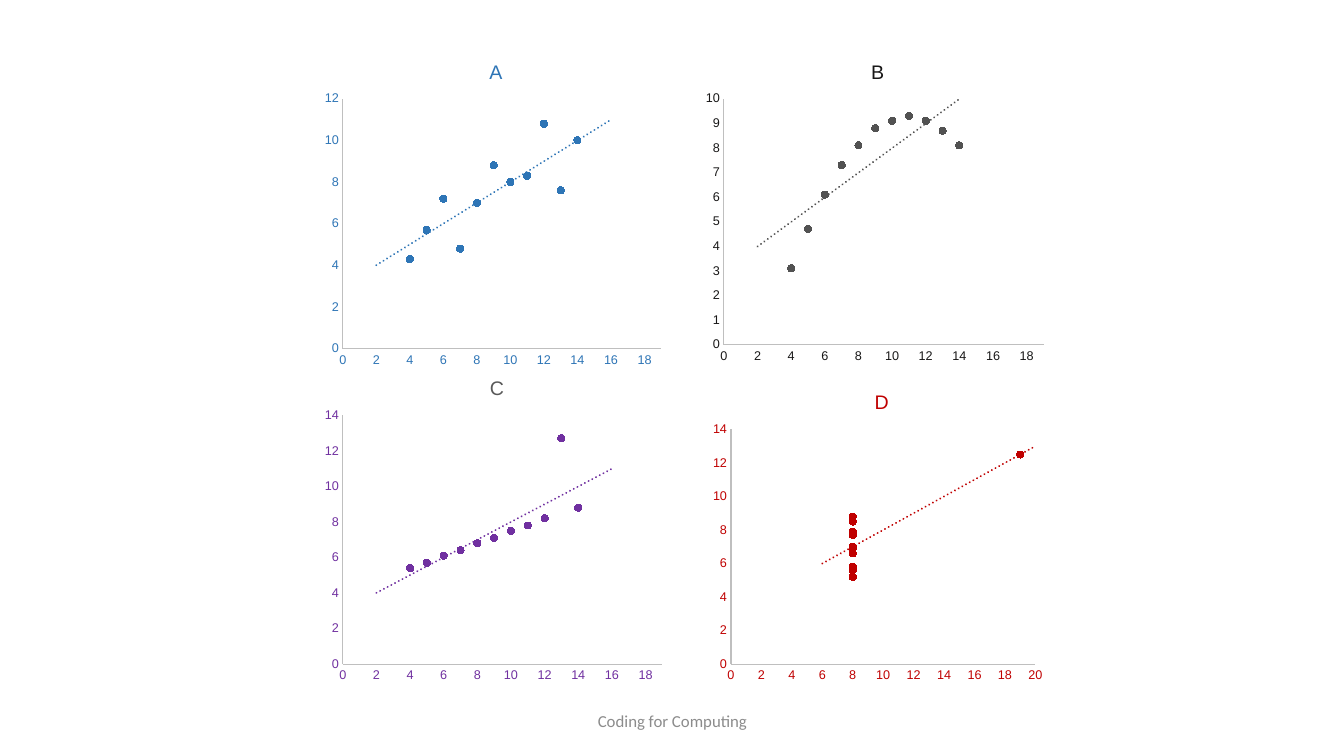
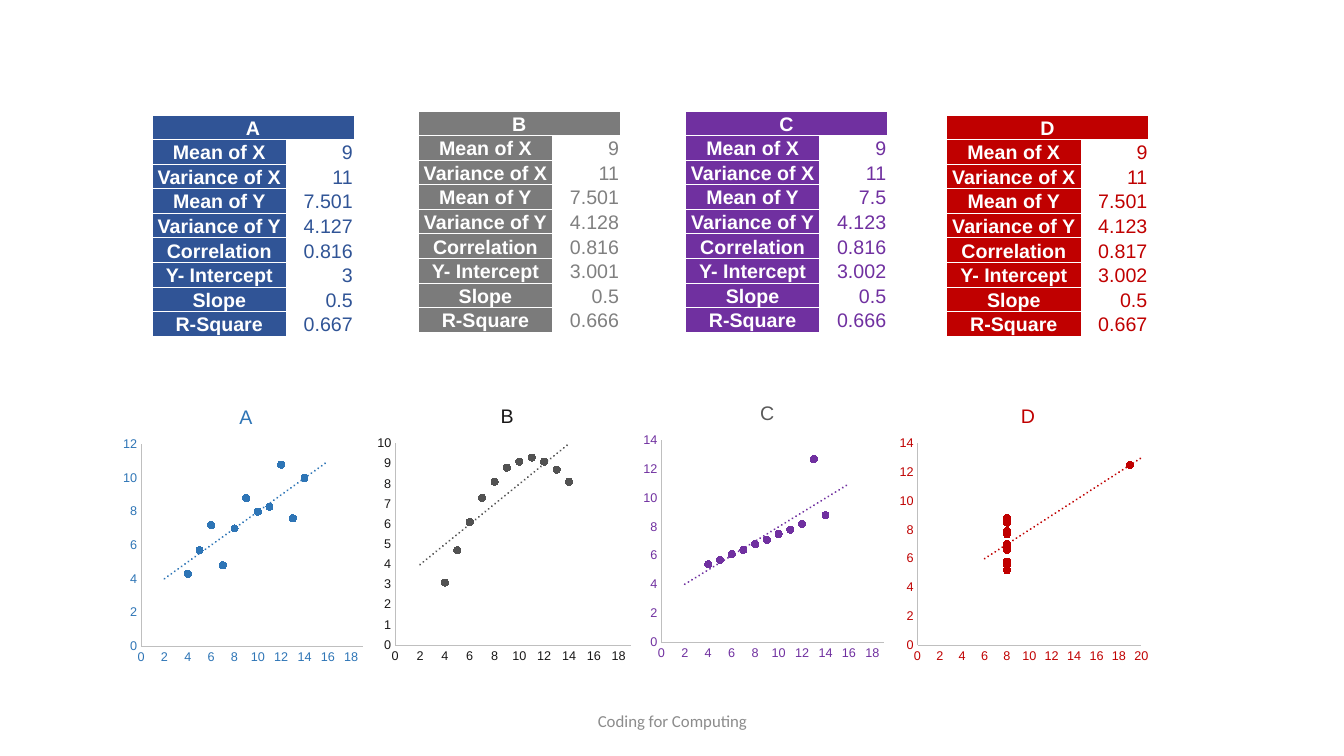
from lxml import etree
from pptx import Presentation, util as u
from pptx.chart.data import XyChartData
from pptx.dml.color import RGBColor
from pptx.enum import chart as ch, text as tx
from pptx.oxml import parse_xml
from pptx.oxml.ns import nsdecls, qn

INK = {"line": "BFBFBF", "foot": "8C8C8C", "white": "FFFFFF"}
FACE = "Arial"
XS = [10, 8, 13, 9, 11, 14, 6, 4, 12, 7, 5]
LABELS = ["Mean of X", "Variance of X", "Mean of Y", "Variance of Y",
          "Correlation", "Y- Intercept", "Slope", "R-Square"]

# The four data sets: dots, axis and title colours, table fill and text
SETS = {
    "A": dict(x=XS, y=[8, 7, 7.6, 8.8, 8.3, 10, 7.2, 4.3, 10.8, 4.8, 5.7],
              dot="2E75B6", axis="2E75B6", title="2E75B6", xmax=19, ymax=12,
              step=2, right=0.06, fill="305496", value="305496",
              stats="9 11 7.501 4.127 0.816 3 0.5 0.667"),
    "B": dict(x=XS, y=[9.1, 8.1, 8.7, 8.8, 9.3, 8.1, 6.1, 3.1, 9.1, 7.3, 4.7],
              dot="525252", axis="181717", title="181717", xmax=19, ymax=10,
              step=1, right=0.06, fill="7B7B7B", value="808080",
              stats="9 11 7.501 4.128 0.816 3.001 0.5 0.666"),
    "C": dict(x=XS, y=[7.5, 6.8, 12.7, 7.1, 7.8, 8.8, 6.1, 5.4, 8.2, 6.4, 5.7],
              dot="7030A0", axis="7030A0", title="595959", xmax=19, ymax=14,
              step=2, right=0.06, fill="7030A0", value="7030A0",
              stats="9 11 7.5 4.123 0.816 3.002 0.5 0.666"),
    "D": dict(x=[8] * 7 + [19] + [8] * 3,
              y=[6.6, 5.8, 7.7, 8.8, 8.5, 7, 5.2, 12.5, 5.6, 7.9, 6.9],
              dot="C00000", axis="C00000", title="C00000", xmax=20, ymax=14,
              step=2, right=0.14, fill="C00000", value="C00000",
              stats="9 11 7.501 4.123 0.817 3.002 0.5 0.667"),
}

# Places on each slide: left, top, width, height
GRID = {"A": (3.16, 0.4, 3.46, 3.32), "B": (6.94, 0.4, 3.47, 3.28),
        "C": (3.16, 3.54, 3.47, 3.31), "D": (7.01, 3.68, 3.4, 3.17)}
ROW = {"A": (1.16, 3.83, 2.5, 2.84), "B": (3.68, 3.82, 2.64, 2.84),
       "C": (6.32, 3.79, 2.51, 2.84), "D": (8.86, 3.82, 2.6, 2.84)}
TABLES = {"A": (1.51, 1.14), "B": (4.15, 1.1),
          "C": (6.8, 1.1), "D": (9.39, 1.14)}


def rgb(code):
    return RGBColor.from_string(code)


def put(obj, **vals):
    for name, val in vals.items():
        setattr(obj, name, val)


def style(font, color, size, face=FACE, bold=False):
    put(font, size=u.Pt(size), name=face, bold=bold)
    font.color.rgb = rgb(color)


def inch(*vals):
    return [u.Inches(v) for v in vals]


def layout(inner=False, **spots):
    """Manual chart layout, in shares of the chart's size."""
    root = parse_xml(f"<c:layout {nsdecls('c')}><c:manualLayout/></c:layout>")
    marks = {"layoutTarget": "inner"} if inner else {}
    marks.update(xMode="edge", yMode="edge", **spots)
    for tag, val in marks.items():
        etree.SubElement(root[0], qn("c:" + tag)).set("val", str(val))
    return root


def unset(node):
    for old in node.findall(qn("c:layout")):
        node.remove(old)


def trend(color):
    return parse_xml(
        f'<c:trendline {nsdecls("c", "a")}><c:spPr>'
        f'<a:ln w="19050" cap="rnd"><a:solidFill><a:srgbClr val="{color}"/>'
        '</a:solidFill><a:prstDash val="sysDot"/></a:ln></c:spPr>'
        '<c:trendlineType val="linear"/><c:forward val="2"/>'
        '<c:backward val="2"/><c:dispRSqr val="0"/><c:dispEq val="0"/>'
        '</c:trendline>')


def plot(slide, box, name, data):
    """Scatter chart with a fitted line."""
    wide, high = box[2:]
    feed = XyChartData()
    points = feed.add_series("Series 1")
    for x, y in zip(data["x"], data["y"]):
        points.add_data_point(x, y)
    chart = slide.shapes.add_chart(
        ch.XL_CHART_TYPE.XY_SCATTER, *inch(*box), feed).chart
    chart.has_legend = False
    style(chart.font, "000000", 10)

    # Title
    chart.has_title = True
    title = chart.chart_title
    title.text_frame.text = name
    style(title.text_frame.paragraphs[0].runs[0].font, data["title"], 14)
    head = title.element
    unset(head)
    head.find(qn("c:tx")).addnext(
        layout(x=0.5 - 0.07 / wide, y=0.15 / high))

    # Axes
    for axis, top, step in ((chart.category_axis, data["xmax"], 2),
                            (chart.value_axis, data["ymax"], data["step"])):
        put(axis, minimum_scale=0, maximum_scale=top, major_unit=step,
            has_major_gridlines=False, major_tick_mark=ch.XL_TICK_MARK.NONE,
            minor_tick_mark=ch.XL_TICK_MARK.NONE)
        style(axis.tick_labels.font, data["axis"], 9)
        axis.format.line.color.rgb = rgb(INK["line"])
        axis.format.line.width = u.Pt(0.75)

    # Dots and fitted line
    chart.plots[0].vary_by_categories = False
    dots = chart.plots[0].series[0]
    dots.smooth = False
    dots.format.line.fill.background()
    put(dots.marker, style=ch.XL_MARKER_STYLE.CIRCLE, size=5)
    look = dots.marker.format
    look.fill.solid()
    look.fill.fore_color.rgb = rgb(data["dot"])
    look.line.color.rgb = rgb(data["dot"])
    area = chart.element.find(".//" + qn("c:plotArea"))
    area.find(".//" + qn("c:xVal")).addprevious(trend(data["dot"]))

    # Fixed margins around the plot
    left, top, base = 0.24, 0.58, 0.26
    unset(area)
    area.insert(0, layout(
        True, x=left / wide, y=top / high,
        w=(wide - left - data["right"]) / wide, h=(high - top - base) / high))


def fill_cell(cell, label, color, align, fill=None):
    put(cell, text=label, vertical_anchor=tx.MSO_ANCHOR.BOTTOM,
        margin_left=u.Inches(0.01), margin_right=u.Inches(0.01),
        margin_top=u.Inches(0.01), margin_bottom=0)
    para = cell.text_frame.paragraphs[0]
    para.alignment = align
    style(para.font, color, 14, bold=fill is not None)
    for run in para.runs:
        style(run.font, color, 14, bold=fill is not None)
    # White borders go before the fill
    props = cell._tc.get_or_add_tcPr()
    for side in "LRTB":
        props.append(parse_xml(
            f'<a:ln{side} {nsdecls("a")} w="6350"><a:solidFill>'
            f'<a:srgbClr val="{INK["white"]}"/></a:solidFill></a:ln{side}>'))
    if fill:
        cell.fill.solid()
        cell.fill.fore_color.rgb = rgb(fill)
    else:
        cell.fill.background()


def stats(slide, spot, name, data):
    """Summary table with a merged heading."""
    count = len(LABELS) + 1
    table = slide.shapes.add_table(count, 2, *inch(*spot, 2, 2.17)).table
    put(table, first_row=False, horz_banding=False)
    for col, wide in zip(table.columns, (1.33, 0.67)):
        col.width = u.Inches(wide)
    for row in table.rows:
        row.height = u.Inches(2.17 / count)
    mid, right = tx.PP_ALIGN.CENTER, tx.PP_ALIGN.RIGHT
    table.cell(0, 0).merge(table.cell(0, 1))
    for row, label in enumerate([name] + LABELS):
        fill_cell(table.cell(row, 0), label, INK["white"], mid, data["fill"])
    for row, value in enumerate(data["stats"].split(), 1):
        fill_cell(table.cell(row, 1), value, data["value"], right)


def page(deck, places):
    """Slide with the shared footer and one chart for each data set."""
    slide = deck.slides.add_slide(deck.slide_layouts[6])
    frame = slide.shapes.add_textbox(*inch(4.42, 6.95, 4.5, 0.4)).text_frame
    put(frame, word_wrap=True, vertical_anchor=tx.MSO_ANCHOR.MIDDLE)
    para = frame.paragraphs[0]
    para.alignment = tx.PP_ALIGN.CENTER
    run = para.add_run()
    run.text = "Coding for Computing"
    style(run.font, INK["foot"], 12, "Calibri")
    for name, box in places.items():
        plot(slide, box, name, SETS[name])
    return slide


def main():
    deck = Presentation()
    put(deck, slide_width=u.Inches(13.33), slide_height=u.Inches(7.5))
    page(deck, GRID)
    slide = page(deck, ROW)
    for name, spot in TABLES.items():
        stats(slide, spot, name, SETS[name])
    deck.save("out.pptx")


if __name__ == "__main__":
    main()
